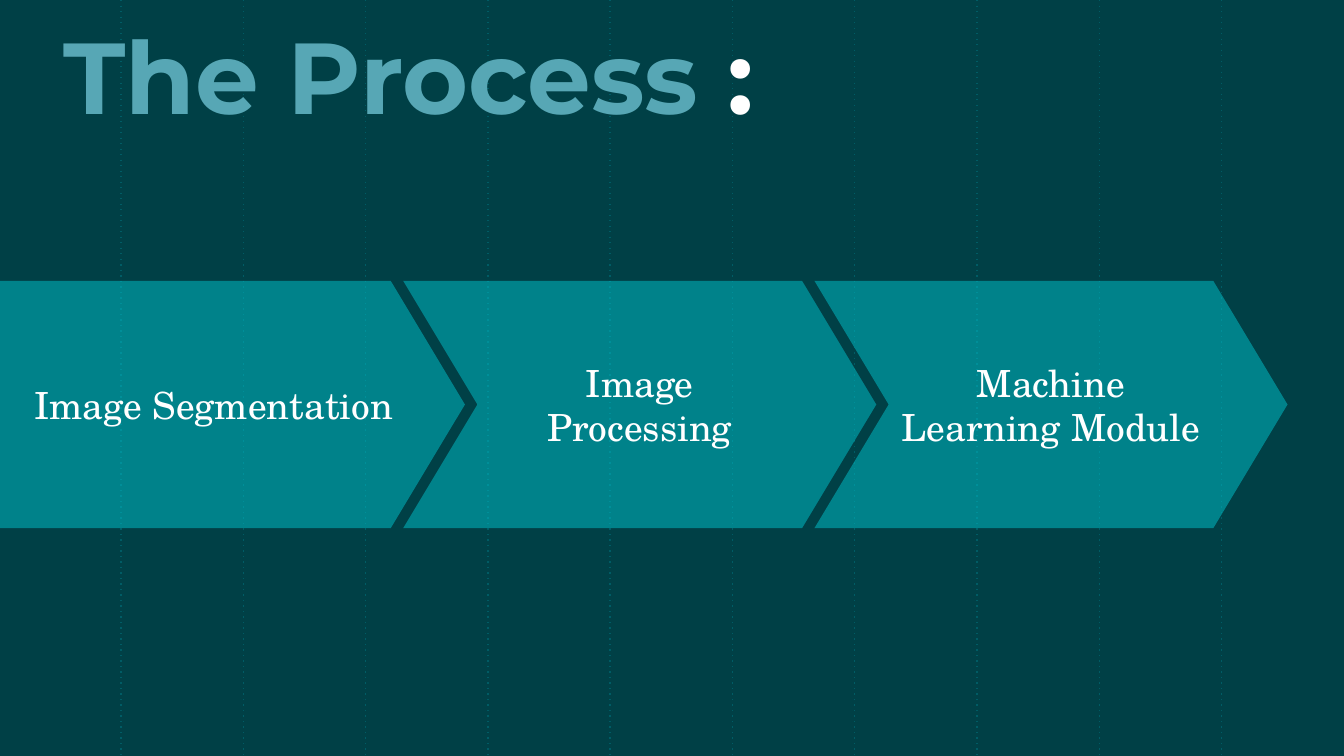
from dataclasses import dataclass

from pptx import Presentation
from pptx.dml.color import RGBColor
from pptx.enum.shapes import MSO_CONNECTOR, MSO_SHAPE
from pptx.enum.text import MSO_ANCHOR, MSO_AUTO_SIZE, PP_ALIGN
from pptx.oxml.ns import qn
from pptx.util import Inches, Pt
from lxml.etree import SubElement


@dataclass(frozen=True)
class Theme:
    back: str = "004046"
    grid: str = "005C65"
    step: str = "00BFC9"
    head: str = "57A7B5"
    white: str = "FFFFFF"
    alpha: int = 52
    head_font: str = "Montserrat"
    step_font: str = "TeX Gyre Schola"
    head_size: int = 54
    step_size: int = 20


THEME = Theme()
WIDTH = 10
HEIGHT = WIDTH * 9 / 16


def tint(fill, color):
    fill.solid()
    fill.fore_color.rgb = RGBColor.from_string(color)


def write(shape, runs, font, size, bold=False, align=PP_ALIGN.LEFT,
          anchor=MSO_ANCHOR.MIDDLE, side=0.1):
    frame = shape.text_frame
    frame.word_wrap = True
    frame.auto_size = MSO_AUTO_SIZE.NONE
    frame.vertical_anchor = anchor
    frame.margin_left = frame.margin_right = Inches(side)
    frame.margin_top = frame.margin_bottom = Inches(0.1)
    para = frame.paragraphs[0]
    para.alignment = align
    for words, color in runs:
        run = para.add_run()
        run.text = words
        run.font.name = font
        run.font.size = Pt(size)
        run.font.bold = bold
        run.font.color.rgb = RGBColor.from_string(color)


def draw_grid(slide, left, top, height, pitch, count):
    for i in range(count):
        x = Inches(left + i * pitch)
        line = slide.shapes.add_connector(
            MSO_CONNECTOR.STRAIGHT, x, Inches(top), x, Inches(top + height))
        line.line.width = Pt(0.75)
        tint(line.line.fill, THEME.grid)
        props = line._element.spPr
        SubElement(props.find(qn("a:ln")), qn("a:prstDash"), val="dot")
        SubElement(props, qn("a:effectLst"))


def draw_title(slide, left, top, width, height):
    title = slide.shapes.title
    title.left, title.top = Inches(left), Inches(top)
    title.width, title.height = Inches(width), Inches(height)
    write(title, [("The Process ", THEME.head), (":", THEME.white)],
          THEME.head_font, THEME.head_size, bold=True,
          anchor=MSO_ANCHOR.BOTTOM)
    slide.shapes._spTree.append(title._element)


def draw_steps(slide, left, top, width, height, labels):
    pitch, inset = 3.06, 0.06
    span = width - pitch * (len(labels) - 1)
    for i, label in enumerate(labels):
        kind = MSO_SHAPE.CHEVRON if i else MSO_SHAPE.PENTAGON
        lead = 0 if i else inset
        step = slide.shapes.add_shape(
            kind, Inches(left + i * pitch + lead), Inches(top),
            Inches(span - lead), Inches(height))
        step.adjustments[0] = 0.3
        step.shadow.inherit = False
        step.line.fill.background()
        tint(step.fill, THEME.step)
        color = step._element.spPr.find(qn("a:solidFill"))[0]
        SubElement(color, qn("a:alpha"), val=str(THEME.alpha * 1000))
        write(step, [(label, THEME.white)], THEME.step_font,
              THEME.step_size, align=PP_ALIGN.CENTER, side=0.09)


def main():
    deck = Presentation()
    deck.slide_width, deck.slide_height = Inches(WIDTH), Inches(HEIGHT)
    slide = deck.slides.add_slide(deck.slide_layouts[5])
    tint(slide.background.fill, THEME.back)
    draw_grid(slide, 0.9, 0, HEIGHT, 0.91, 10)
    draw_title(slide, 0.37, 0.34, 6.47, 0.76)
    draw_steps(slide, -0.06, 2.09, 9.64, 1.84,
               ["Image Segmentation", "Image Processing",
                "Machine Learning Module"])
    deck.save("out.pptx")


if __name__ == "__main__":
    main()
